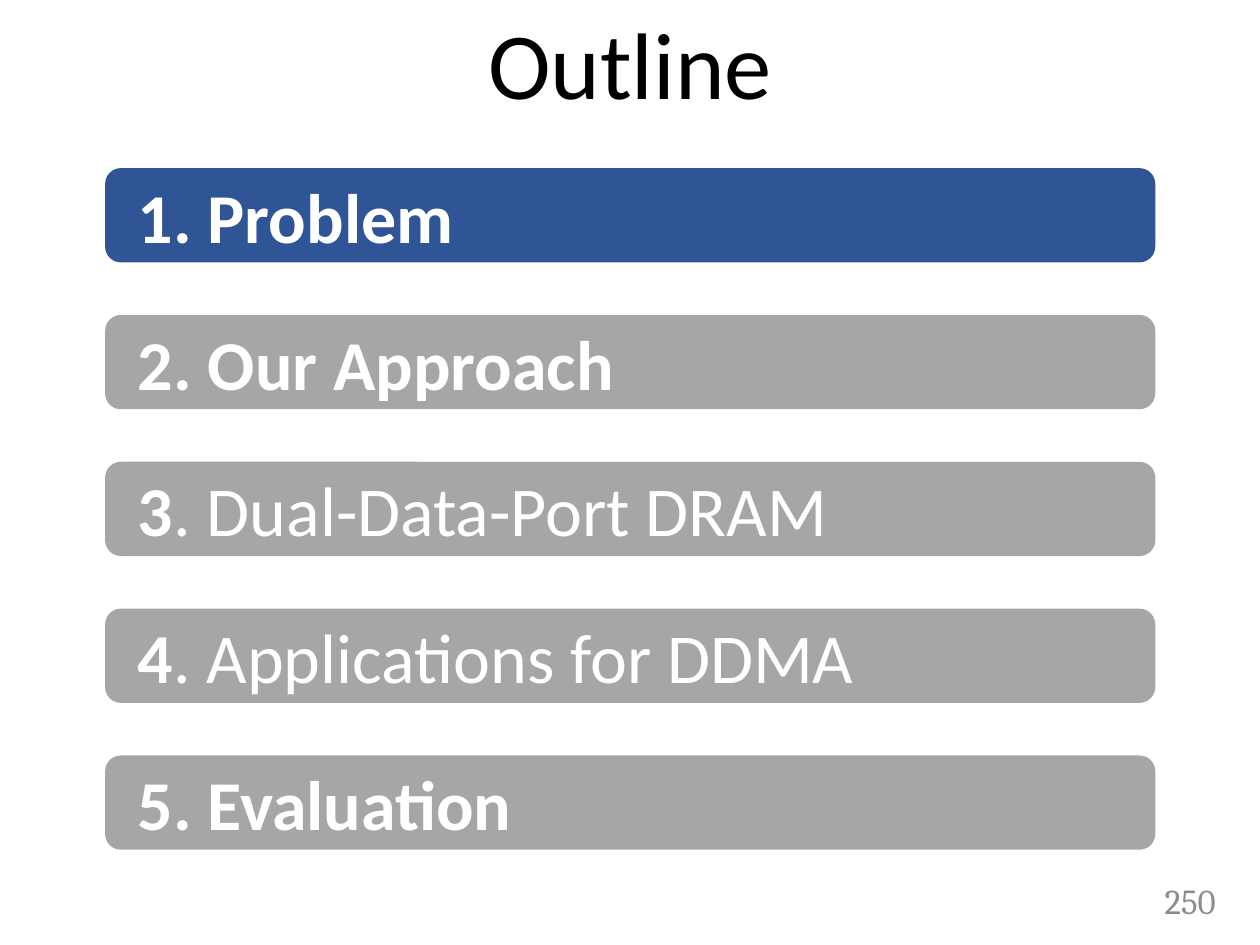
"""Build the outline slide with the first of five sections highlighted."""
from dataclasses import dataclass

from pptx import Presentation
from pptx.dml.color import RGBColor
from pptx.enum.shapes import MSO_SHAPE
from pptx.enum.text import MSO_ANCHOR, PP_ALIGN
from pptx.util import Cm, Pt


@dataclass(frozen=True)
class Theme:
    active: str = "2F5597"
    inactive: str = "A6A6A6"
    title_ink: str = "000000"
    section_ink: str = "FFFFFF"
    number_ink: str = "8C8C8C"
    title_size: int = 54
    section_size: int = 40
    number_size: int = 20
    font: str = "Calibri"
    number_font: str = "Cambria"


def set_frame(shape, anchor, align):
    frame = shape.text_frame
    for name, value in {"word_wrap": True, "vertical_anchor": anchor}.items():
        setattr(frame, name, value)
    para = frame.paragraphs[0]
    para.alignment = align
    return para


def add_span(para, text, size, color, name, bold=False):
    span = para.add_run()
    span.text = text
    for key, value in {"size": Pt(size), "name": name, "bold": bold}.items():
        setattr(span.font, key, value)
    span.font.color.rgb = RGBColor.from_string(color)


theme = Theme()
deck = Presentation()
deck.slide_width, deck.slide_height = Cm(25.4), Cm(19.05)
page = deck.slides.add_slide(deck.slide_layouts[6])

number_box = page.shapes.add_textbox(Cm(22.86), Cm(17.65), Cm(1.9), Cm(1.02))
para = set_frame(number_box, MSO_ANCHOR.MIDDLE, PP_ALIGN.RIGHT)
add_span(para, "250", theme.number_size, theme.number_ink, theme.number_font)

title_box = page.shapes.add_textbox(Cm(-0.42), Cm(0.42), Cm(26.24), Cm(2.12))
para = set_frame(title_box, MSO_ANCHOR.BOTTOM, PP_ALIGN.CENTER)
para.line_spacing = 0.9
add_span(para, "Outline", theme.title_size, theme.title_ink, theme.font)

sections = [
    [("1. Problem", True)],
    [("2. Our Approach", True)],
    [("3", True), (". Dual-Data-Port DRAM", False)],
    [("4", True), (". Applications for DDMA", False)],
    [("5. Evaluation", True)],
]
for index, spans in enumerate(sections):
    bar = page.shapes.add_shape(
        MSO_SHAPE.ROUNDED_RECTANGLE, Cm(2.12), Cm(3.39 + 2.96 * index), Cm(21.17), Cm(1.9)
    )
    bar.shadow.inherit = False
    bar.fill.solid()
    bar.fill.fore_color.rgb = RGBColor.from_string(theme.inactive if index else theme.active)
    bar.line.fill.background()
    bar.text_frame.margin_left = Cm(0.57)
    para = set_frame(bar, MSO_ANCHOR.MIDDLE, PP_ALIGN.LEFT)
    for text, bold in spans:
        add_span(para, text, theme.section_size, theme.section_ink, theme.font, bold)

deck.save("out.pptx")
